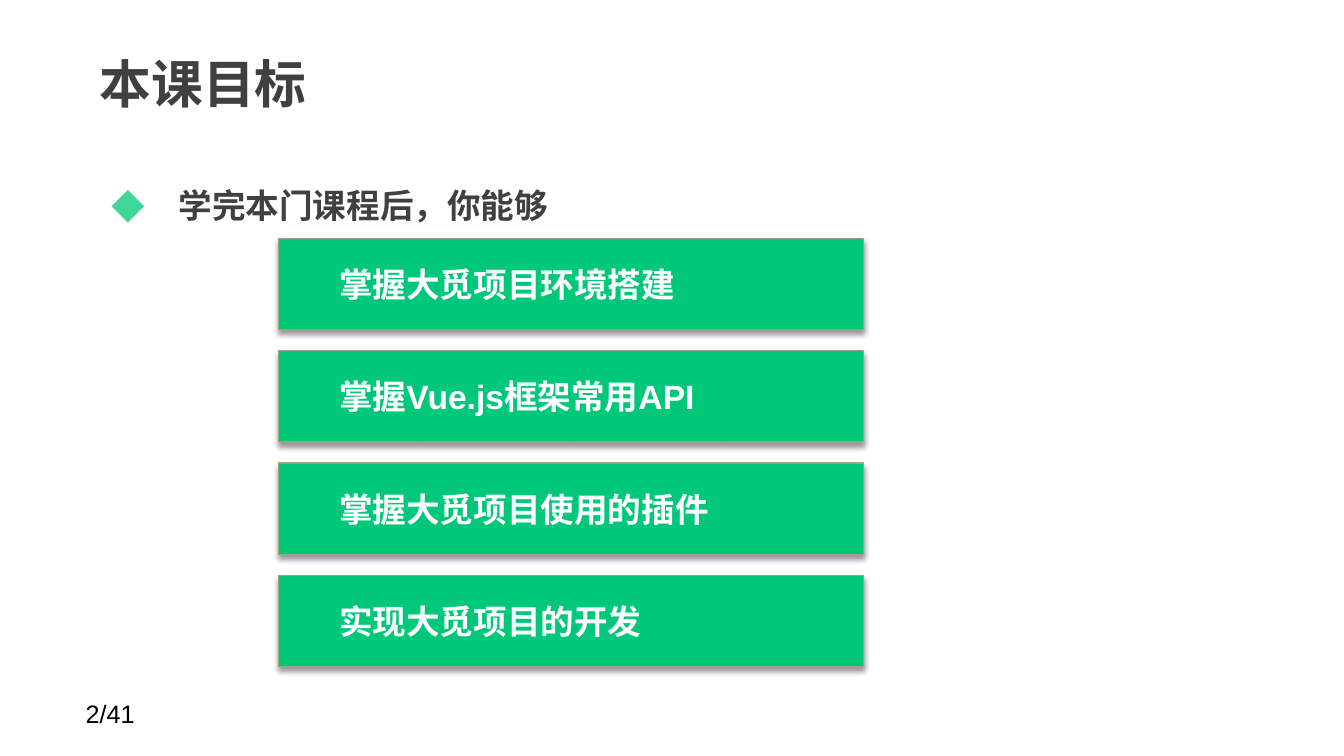
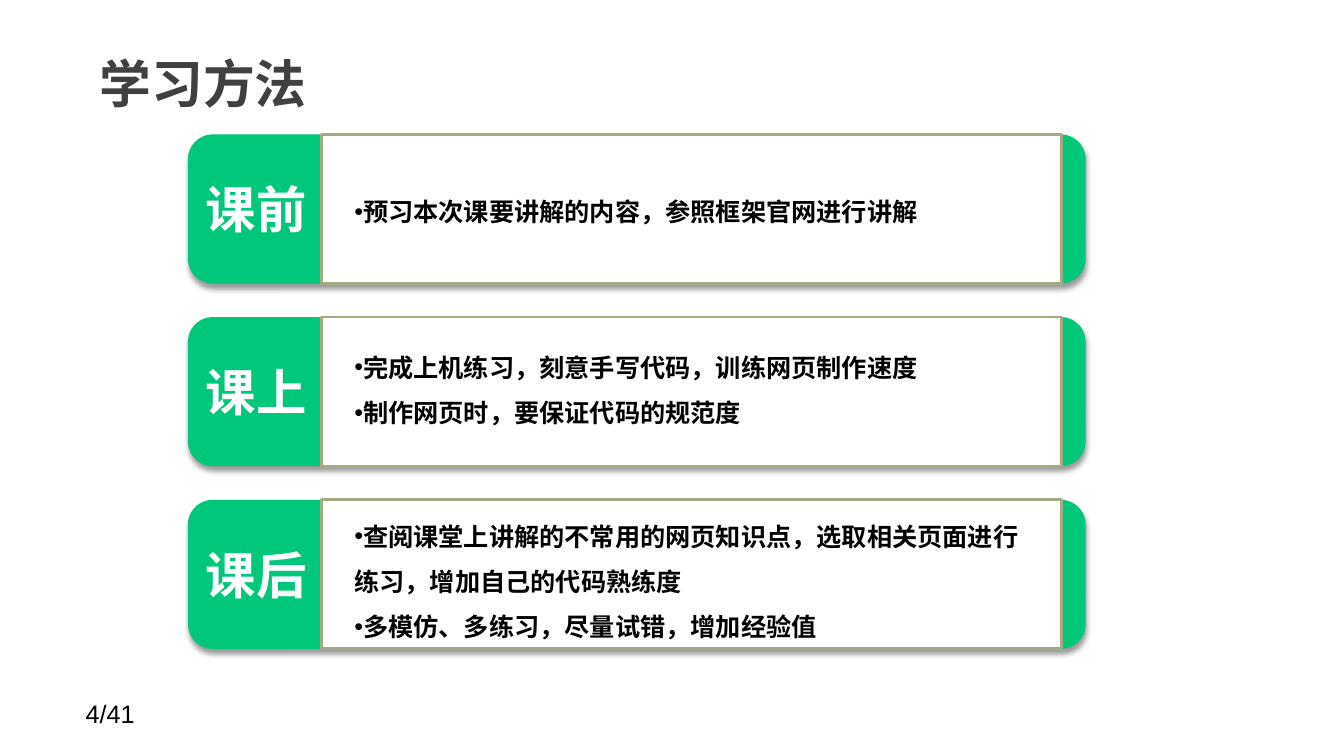
import dataclasses

import lxml.etree
import pptx
import pptx.dml.color
import pptx.enum.shapes
import pptx.enum.text
import pptx.oxml
import pptx.oxml.ns
import pptx.util

PX = 9525  # EMU in one px (96 px to the inch)
SHAPE = pptx.enum.shapes.MSO_SHAPE
ANCHOR = pptx.enum.text.MSO_ANCHOR
ALIGN = pptx.enum.text.PP_ALIGN
TITLE_ONLY = 5
PAGE_COUNT = 41


@dataclasses.dataclass(frozen=True)
class Theme:
    # Colours
    green: str = "00C77A"
    mint: str = "40D59B"
    bar_edge: str = "9FA578"
    panel_edge: str = "A5AB81"
    heading: str = "404040"
    black: str = "000000"
    white: str = "FFFFFF"
    # Fonts and type sizes
    latin: str = "Arial"
    cjk: str = "Noto Sans CJK SC"
    title_pt: int = 37
    label_pt: int = 36
    lead_pt: int = 24
    body_pt: int = 18


THEME = Theme()

GOALS = ["掌握大觅项目环境搭建", "掌握Vue.js框架常用API",
         "掌握大觅项目使用的插件", "实现大觅项目的开发"]

# Label, distance of the text from the card's top, points
STAGES = [
    ("课前", 40, ["预习本次课要讲解的内容，参照框架官网进行讲解"]),
    ("课上", 14, ["完成上机练习，刻意手写代码，训练网页制作速度",
                "制作网页时，要保证代码的规范度"]),
    ("课后", 1, ["查阅课堂上讲解的不常用的网页知识点，选取相关页面进行练习，增加自己的代码熟练度",
               "多模仿、多练习，尽量试错，增加经验值"]),
]


# Helpers

def px(*lengths):
    return [pptx.util.Emu(n * PX) for n in lengths]


def rgb(value):
    return pptx.dml.color.RGBColor.from_string(value)


def add_xml(parent, tag, **attributes):
    return lxml.etree.SubElement(parent, pptx.oxml.ns.qn(tag), attributes)


def style_text(tf, size, color, font=THEME.cjk, bold=True, align=ALIGN.LEFT,
               line_spacing=None, space_before=None):
    for p in tf.paragraphs:
        p.alignment = align
        p.line_spacing = line_spacing
        p.space_before = space_before
        for r in p.runs:
            r.font.size = pptx.util.Pt(size)
            r.font.bold = bold
            r.font.color.rgb = rgb(color)
            r.font.name = font
            add_xml(r.font._element, "a:ea", typeface=THEME.cjk)


def add_bullets(tf, char, font, color, indent=0):
    for p in tf.paragraphs:
        pPr = p._p.get_or_add_pPr()
        pPr.set("marL", str(indent * PX))
        pPr.set("indent", str(-indent * PX))
        add_xml(add_xml(pPr, "a:buClr"), "a:srgbClr", val=color)
        add_xml(pPr, "a:buFont", typeface=font)
        add_xml(pPr, "a:buChar", char=char)


def set_margins(tf, horizontal, vertical):
    tf.margin_left, tf.margin_right = px(horizontal, horizontal)
    tf.margin_top, tf.margin_bottom = px(vertical, vertical)


def add_text(shapes, box, text, wrap=True):
    tf = shapes.add_textbox(*px(*box)).text_frame
    tf.word_wrap = wrap
    tf.text = text
    return tf


def add_box(shapes, kind, box, fill, edge=None, edge_pt=0, shadow=False):
    sp = shapes.add_shape(kind, *px(*box))
    sp.fill.solid()
    sp.fill.fore_color.rgb = rgb(fill)
    if edge:
        sp.line.color.rgb = rgb(edge)
        sp.line.width = pptx.util.Pt(edge_pt)
    else:
        sp.line.fill.background()
    sp.shadow.inherit = False
    if shadow:
        effects = sp._element.spPr.find(pptx.oxml.ns.qn("a:effectLst"))
        outer = add_xml(effects, "a:outerShdw", blurRad=str(pptx.util.Pt(4)),
                        dist=str(pptx.util.Pt(3)), dir="5400000", rotWithShape="0")
        color = add_xml(outer, "a:srgbClr", val=THEME.black)
        add_xml(color, "a:alpha", val="40000")
    return sp


# Shared slide frame

def add_slide(prs, title, page):
    slide = prs.slides.add_slide(prs.slide_layouts[TITLE_ONLY])
    sp = slide.shapes.title
    sp.left, sp.top, sp.width, sp.height = px(83, 29, 999, 99)
    tf = sp.text_frame
    tf.text = title
    tf.auto_size = pptx.enum.text.MSO_AUTO_SIZE.NONE
    tf.vertical_anchor = ANCHOR.MIDDLE
    set_margins(tf, 12, 6)
    style_text(tf, THEME.title_pt, THEME.heading)

    footer = add_text(slide.shapes, (72, 660, 224, 38), f"{page}/{PAGE_COUNT}")
    style_text(footer, THEME.body_pt, THEME.black, THEME.latin, bold=False)
    return slide


# Content elements

def add_lead(slide, text):
    tf = add_text(slide.shapes, (94, 151, 1122, 78), text)
    set_margins(tf, 12, 6)
    style_text(tf, THEME.lead_pt, THEME.heading, line_spacing=1.5,
               space_before=pptx.util.Pt(5))
    add_bullets(tf, "◆", THEME.cjk, THEME.mint, indent=64)


def add_goal_bar(slide, top, text):
    sp = add_box(slide.shapes, SHAPE.RECTANGLE, (265, top, 557, 87), THEME.green,
                 THEME.bar_edge, 0.75, shadow=True)
    tf = sp.text_frame
    tf.text = text
    tf.vertical_anchor = ANCHOR.MIDDLE
    tf.margin_left, = px(58)
    style_text(tf, THEME.lead_pt, THEME.white, THEME.latin,
               space_before=pptx.util.Pt(5))


def add_stage_card(slide, top, label, text_offset, points):
    height = 142
    group = slide.shapes.add_group_shape()
    add_box(group.shapes, SHAPE.ROUNDED_RECTANGLE, (179, top, 855, height),
            THEME.green, shadow=True)
    add_box(group.shapes, SHAPE.RECTANGLE, (306, top, 705, height),
            THEME.white, THEME.panel_edge, 2)

    tf = add_text(slide.shapes, (186, top + 37, 116, 68), label, wrap=False)
    style_text(tf, THEME.label_pt, THEME.white, align=ALIGN.CENTER)

    box = (328, top + text_offset, 667, 10 + 43 * len(points))
    tf = add_text(slide.shapes, box, "\n".join(points))
    style_text(tf, THEME.body_pt, THEME.black, line_spacing=1.5)
    add_bullets(tf, "•", THEME.latin, THEME.black)


def main():
    prs = pptx.Presentation()
    prs.slide_width, prs.slide_height = px(1280, 720)

    # Course goals
    slide = add_slide(prs, "本课目标", 2)
    add_lead(slide, "学完本门课程后，你能够")
    for i, goal in enumerate(GOALS):
        add_goal_bar(slide, 227 + 107 * i, goal)

    # Study method
    slide = add_slide(prs, "学习方法", 4)
    for i, stage in enumerate(STAGES):
        add_stage_card(slide, 128 + 174 * i, *stage)

    prs.save("out.pptx")


if __name__ == "__main__":
    main()
